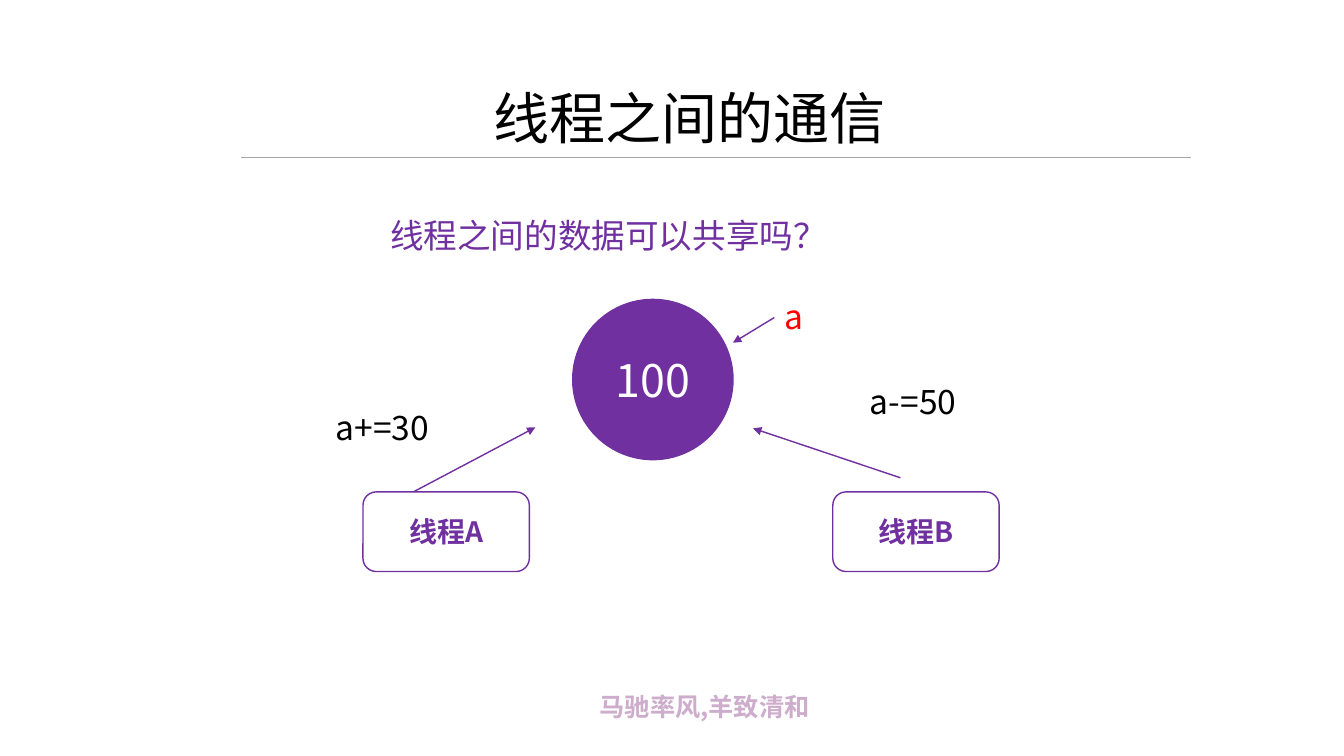
from dataclasses import dataclass

from pptx import Presentation
from pptx import util as u
from pptx.dml.color import RGBColor
from pptx.enum import shapes, text
from pptx.oxml import ns
from lxml import etree


@dataclass(frozen=True)
class Theme:
    font: str = "Noto Sans CJK SC"
    ink: str = "000000"
    accent: str = "7030A0"
    paper: str = "FFFFFF"
    alert: str = "FF0000"
    rule: str = "A5A5A5"
    motto: str = "CDADCB"
    title_size: int = 40
    value_size: int = 32
    body_size: int = 24
    thread_size: int = 20
    motto_size: int = 18


THEME = Theme()


def write(frame, words, size=THEME.body_size, color=THEME.ink, bold=False, align=None):
    """Put one formatted run into the first paragraph of a text frame."""
    para = frame.paragraphs[0]
    para.alignment = align
    span = para.add_run()
    span.text = words
    font = span.font
    font.name = THEME.font
    font.size = u.Pt(size)
    font.bold = bold
    font.color.rgb = RGBColor.from_string(color)
    east_asian = etree.SubElement(span._r.get_or_add_rPr(), ns.qn("a:ea"))
    east_asian.set("typeface", THEME.font)


class SlideBuilder:
    """Holds the theme and the page that its methods draw on."""

    def __init__(self, page, theme):
        self.page = page
        self.theme = theme

    def label(self, words, left, top, width, height, wrap=True, **style):
        box = self.page.shapes.add_textbox(*map(u.Inches, (left, top, width, height)))
        box.text_frame.word_wrap = wrap
        write(box.text_frame, words, **style)

    def node(self, kind, words, left, top, width, height, fill=None, **style):
        """Add an accent-outlined shape with centred text, hollow unless filled."""
        shape = self.page.shapes.add_shape(kind, *map(u.Inches, (left, top, width, height)))
        shape.shadow.inherit = False
        if fill:
            shape.fill.solid()
            shape.fill.fore_color.rgb = RGBColor.from_string(fill)
        else:
            shape.fill.background()
        shape.line.color.rgb = RGBColor.from_string(self.theme.accent)
        shape.line.width = u.Pt(1)
        frame = shape.text_frame
        frame.word_wrap = True
        frame.vertical_anchor = text.MSO_ANCHOR.MIDDLE
        write(frame, words, align=text.PP_ALIGN.CENTER, **style)

    def line(self, start, end, color, width=1.0, arrow=False):
        line = self.page.shapes.add_connector(
            shapes.MSO_CONNECTOR.STRAIGHT, *map(u.Inches, (*start, *end)))
        line.line.color.rgb = RGBColor.from_string(color)
        line.line.width = u.Pt(width)
        properties = line._element.spPr
        if arrow:
            outline = properties.find(ns.qn("a:ln"))
            etree.SubElement(outline, ns.qn("a:tailEnd")).set("type", "triangle")
        etree.SubElement(properties, ns.qn("a:effectLst"))


def main():
    deck = Presentation()
    deck.slide_width = u.Inches(13.33)
    deck.slide_height = u.Inches(7.5)
    page = deck.slides.add_slide(deck.slide_layouts[6])
    slide = SlideBuilder(page, THEME)

    slide.label("马驰率风,羊致清和", 5.85, 6.81, 2.84, 0.4,
                size=THEME.motto_size, color=THEME.motto, bold=True)
    slide.line((2.39, 1.56), (11.81, 1.56), THEME.rule, width=0.5)
    slide.label("线程之间的通信", 4.8, 0.78, 4.13, 0.77, wrap=False, size=THEME.title_size)
    slide.label("线程之间的数据可以共享吗？", 3.77, 2.08, 6.67, 0.5, color=THEME.accent)

    slide.node(shapes.MSO_SHAPE.OVAL, "100", 5.68, 2.97, 1.59, 1.59,
               fill=THEME.accent, size=THEME.value_size, color=THEME.paper)
    for name, left in (("线程A", 3.6), ("线程B", 8.26)):
        slide.node(shapes.MSO_SHAPE.ROUNDED_RECTANGLE, name, left, 4.88, 1.65, 0.79,
                   size=THEME.thread_size, color=THEME.accent, bold=True)

    slide.label("a", 7.68, 2.89, 0.39, 0.5, color=THEME.alert)
    for operation, left, top in (("a+=30", 3.23, 3.99), ("a-=50", 8.53, 3.73)):
        slide.label(operation, left, top, 1.57, 0.5)

    arrows = (
        ((7.68, 3.15), (7.27, 3.4)),
        ((4.1, 4.88), (5.31, 4.24)),
        ((8.93, 4.74), (7.47, 4.25)),
    )
    for start, end in arrows:
        slide.line(start, end, THEME.accent, arrow=True)

    deck.save("out.pptx")


if __name__ == "__main__":
    main()
